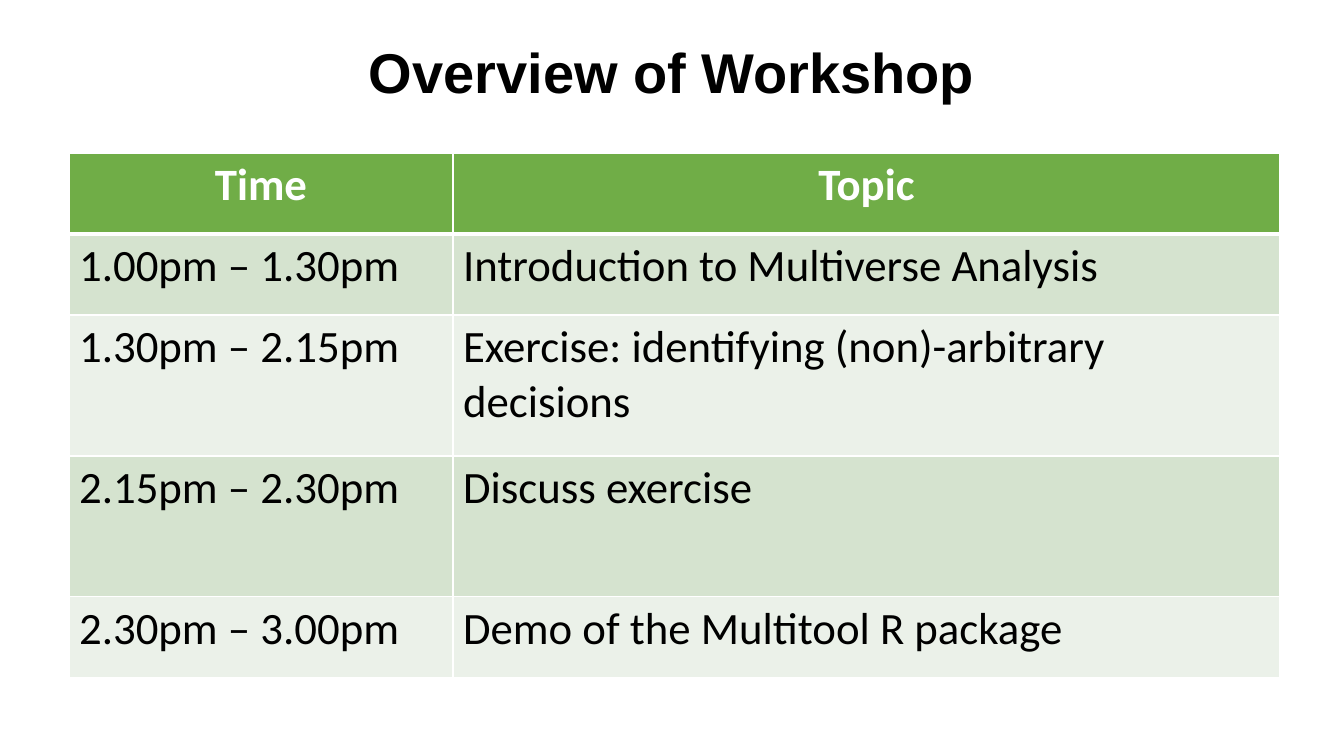
from lxml.etree import SubElement
from pptx import Presentation
from pptx.dml.color import RGBColor
from pptx.enum.text import MSO_ANCHOR, MSO_AUTO_SIZE, PP_ALIGN
from pptx.oxml.ns import qn
from pptx.util import Emu, Pt

EMU_PER_PX = 914400 / 100.8
COLORS = {
    "black": "000000",
    "white": "FFFFFF",
    "header": "70AD47",
    "odd": "D5E3CF",
    "even": "EBF1E9",
}
SCHEDULE = [
    ("Time", "Topic"),
    ("1.00pm – 1.30pm", "Introduction to Multiverse Analysis"),
    ("1.30pm – 2.15pm", "Exercise: identifying (non)-arbitrary decisions"),
    ("2.15pm – 2.30pm", "Discuss exercise"),
    ("2.30pm – 3.00pm", "Demo of the Multitool R package"),
]
COLUMN_WIDTHS = [384, 827]
ROW_HEIGHTS = [81, 81, 141, 141, 81]


def px(length):
    """Turn a length in px into EMU."""
    return Emu(round(length * EMU_PER_PX))


def set_font(paragraph, name, size, color, bold):
    """Format the text of a whole paragraph."""
    font = paragraph.font
    font.name = name
    font.size = Pt(size)
    font.bold = bold
    font.color.rgb = RGBColor.from_string(COLORS[color])


def add_title(slide, text, left, top, width, height):
    """Place and format the slide title."""
    title = slide.shapes.title
    title.left, title.top = px(left), px(top)
    title.width, title.height = px(width), px(height)
    frame = title.text_frame
    frame.text = text
    frame.word_wrap = True
    frame.auto_size = MSO_AUTO_SIZE.NONE
    frame.vertical_anchor = MSO_ANCHOR.TOP
    paragraph = frame.paragraphs[0]
    paragraph.alignment = PP_ALIGN.CENTER
    paragraph.line_spacing = 0.9
    set_font(paragraph, "Arial", 40, "black", True)


def set_borders(cell, top, bottom):
    """Draw white cell borders, with top and bottom widths in points."""
    properties = cell._tc.get_or_add_tcPr()
    widths = {"a:lnL": 1, "a:lnR": 1, "a:lnT": top, "a:lnB": bottom}
    for tag, width in widths.items():
        line = SubElement(properties, qn(tag), w=str(Pt(width)))
        fill = SubElement(line, qn("a:solidFill"))
        SubElement(fill, qn("a:srgbClr"), val=COLORS["white"])


def fill_cell(cell, text, row):
    """Write and format one cell of the schedule."""
    is_header = row == 0
    set_borders(cell, top=3 if row == 1 else 1, bottom=3 if is_header else 1)
    cell.fill.solid()
    fill = "header" if is_header else "odd" if row % 2 else "even"
    cell.fill.fore_color.rgb = RGBColor.from_string(COLORS[fill])
    cell.text = text
    paragraph = cell.text_frame.paragraphs[0]
    paragraph.alignment = PP_ALIGN.CENTER if is_header else PP_ALIGN.LEFT
    set_font(paragraph, "Calibri", 32, "white" if is_header else "black", is_header)


def add_schedule(slide, left, top):
    """Add the table of times and topics."""
    table = slide.shapes.add_table(
        len(SCHEDULE), len(COLUMN_WIDTHS), px(left), px(top),
        px(sum(COLUMN_WIDTHS)), px(sum(ROW_HEIGHTS)),
    ).table
    for column, width in zip(table.columns, COLUMN_WIDTHS):
        column.width = px(width)
    for row, height in zip(table.rows, ROW_HEIGHTS):
        row.height = px(height)
    for row, texts in enumerate(SCHEDULE):
        for column, text in enumerate(texts):
            fill_cell(table.cell(row, column), text, row)


def main():
    """Build the workshop overview slide."""
    presentation = Presentation()
    presentation.slide_width, presentation.slide_height = px(1344), px(756)
    slide = presentation.slides.add_slide(presentation.slide_layouts[5])
    add_title(slide, "Overview of Workshop", 92, 40, 1159, 146)
    add_schedule(slide, 69, 153)
    presentation.save("out.pptx")


if __name__ == "__main__":
    main()
